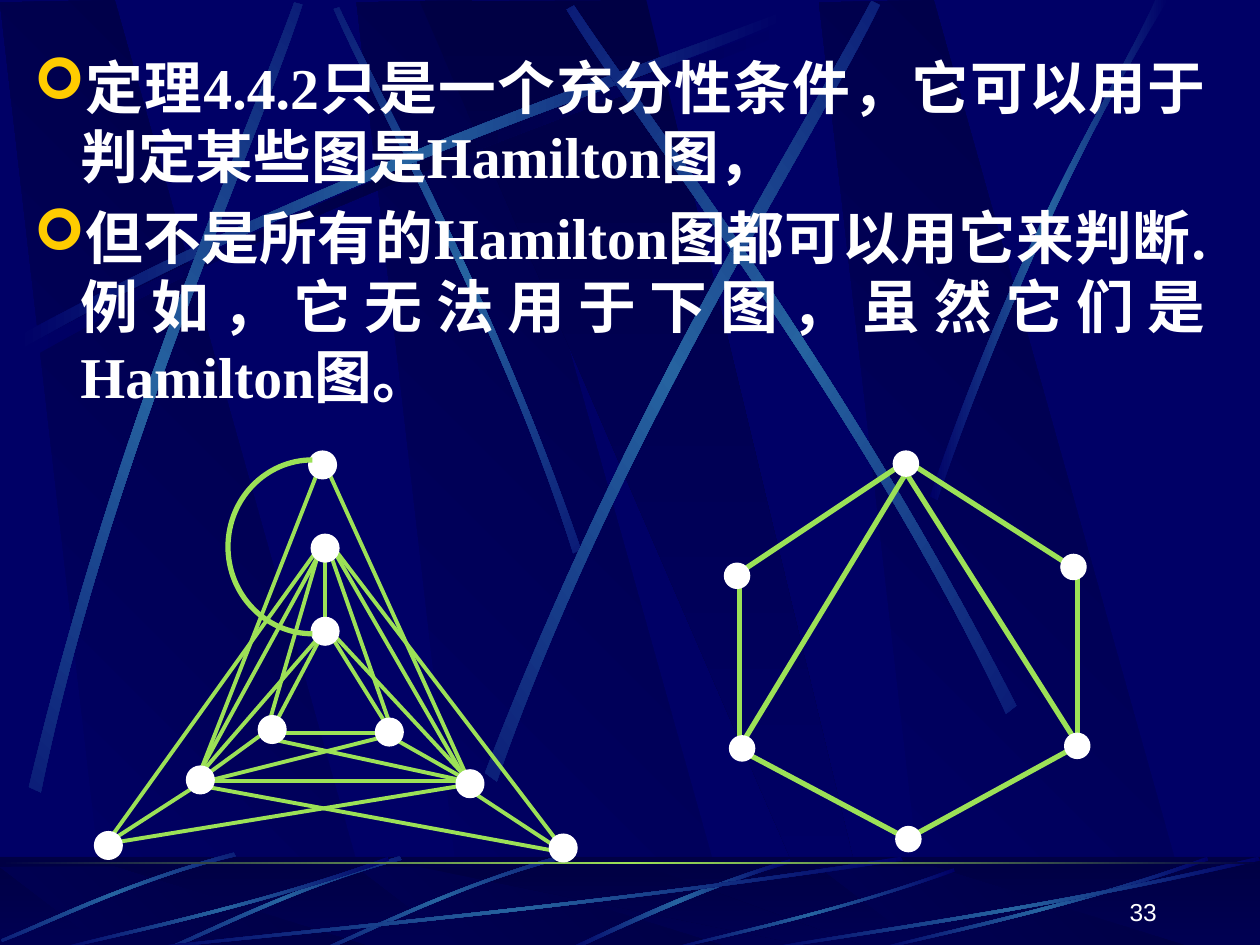
from lxml.etree import SubElement
from pptx import Presentation
from pptx.dml.color import RGBColor
from pptx.enum.shapes import MSO_CONNECTOR, MSO_SHAPE
from pptx.enum.text import MSO_ANCHOR, PP_ALIGN
from pptx.oxml.ns import qn
from pptx.util import Inches, Pt

C = {"navy": "000066", "dark": "000044", "blue": "2663A0",
     "green": "9CE157", "white": "FFFFFF", "gold": "FFCC00"}
RGB = {name: RGBColor.from_string(value) for name, value in C.items()}

prs = Presentation()
prs.slide_width, prs.slide_height = Inches(10), Inches(7.5)
COL, ROW = prs.slide_width / 10, prs.slide_height / 7.5
slide = prs.slides.add_slide(prs.slide_layouts[6])
slide.background.fill.solid()
slide.background.fill.fore_color.rgb = RGB["navy"]
backdrop = slide.shapes.add_group_shape().shapes

OUTLINES = {
    "wedge": ("LLL", [(0.86, 7.5), (3.02, 7.52), (0.91, 0), (0, 0.02)]),
    "fan": ("LLL", [(0, 0.01), (3.25, 7.51), (3.61, 7.51), (1.8, 0)]),
    "beam": ("CLC", [(0, 2.57), (2.64, 1.15), (5.04, 0.41), (6.06, 0),
                     (6.09, 0.06), (5.08, 0.51), (2.34, 1.33), (0.03, 2.67)]),
    "ray": ("CLC", [(0, 3.94), (0.76, 1.73), (1.5, 0.66), (1.79, 0),
                    (1.89, 0), (0.98, 1.45), (0.31, 3.22), (0.06, 3.97)]),
    "blade": ("CLC", [(1.79, 0), (0.89, 0.27), (0.29, 0.6), (0, 0.72),
                      (0.05, 0.73), (0.42, 0.56), (1.23, 0.18), (1.8, 0.03)]),
    "tail": ("CLC", [(2.66, 0.03), (1.51, 0.43), (0.46, 0.64), (0.01, 0.75),
                     (0, 0.74), (0.44, 0.61), (1.64, 0.38), (2.65, 0)]),
    "arc": ("CC", [(0.67, 0), (0.3, 0), (0, 0.31), (0, 0.69),
                   (0, 1.07), (0.3, 1.38), (0.67, 1.38)]),
}


def add_outline(shapes, name, frame, colors=None, angle=0, rot=0, flip=False):
    left, top, width, height = frame
    if name == "rect":
        sp = shapes.add_shape(MSO_SHAPE.RECTANGLE, round(left * COL), round(top * ROW),
                              round(width * COL), round(height * ROW))
    else:
        steps, points = OUTLINES[name]
        xs, ys = zip(*points)
        pts = []
        for x, y in points:
            u, v = x / max(xs), y / max(ys)
            u = 1 - u if flip else u
            pts.append((round((left + u * width) * COL), round((top + v * height) * ROW)))
        fb = shapes.build_freeform(*pts[0])
        fb.add_line_segments(pts[1:], close=bool(colors))
        sp = fb.convert_to_shape()
        outline = next(sp._element.iter(qn("a:path")))
        start, *corners = outline.iter(qn("a:pt"))
        for child in list(outline)[1:]:
            outline.remove(child)
        for step in steps:
            count, tag = (3, "a:cubicBezTo") if step == "C" else (1, "a:lnTo")
            SubElement(outline, qn(tag)).extend(corners[:count])
            corners = corners[count:]
        if colors:
            SubElement(outline, qn("a:close"))
    sp.shadow.inherit = False
    sp.rotation = rot
    sp.line.fill.background()
    sp.fill.background()
    if colors:
        sp.fill.gradient()
        sp.fill.gradient_angle = (360 - angle) % 360
        stops = next(sp._element.iter(qn("a:gsLst")))
        for gs in list(stops):
            stops.remove(gs)
        for i, color in enumerate(colors):
            gs = SubElement(stops, qn("a:gs"), pos=str(100000 * i // (len(colors) - 1)))
            SubElement(gs, qn("a:srgbClr"), val=C[color])
    return sp


def add_text(tf, text, size, font, color="white", bold=False, align=PP_ALIGN.LEFT,
             before=0, bullet=None, indent=0):
    p = tf.paragraphs[0] if not tf.text else tf.add_paragraph()
    p.alignment, p.space_before = align, Pt(before)
    if bullet:
        pPr = p._p.get_or_add_pPr()
        pPr.set("marL", str(round(indent * COL)))
        pPr.set("indent", str(-round(indent * COL)))
        SubElement(SubElement(pPr, qn("a:buClr")), qn("a:srgbClr"), val=C["gold"])
        SubElement(pPr, qn("a:buFont"), typeface="Wingdings", charset="2")
        SubElement(pPr, qn("a:buChar"), char=bullet)
    r = p.add_run()
    r.text = text
    r.font.size, r.font.name, r.font.bold = Pt(size), font, bold
    r.font.color.rgb = RGB[color]


glow = ["navy", "blue", "navy"]
upper = [
    ("beam", (0.2, 0.18, 6.08, 2.67), 0, False, ["navy", "dark", "navy"]),
    ("beam", (1.41, 1.35, 4.42, 1.75), 45, True, glow),
    ("beam", (0.14, 0.1, 6.08, 2.67), 0, False, glow),
    ("beam", (-1.71, 1.82, 6.08, 2.67), 311.7, False, glow),
    ("beam", (2.31, 1.6, 6.24, 3.01), 321.6, False, glow),
    ("beam", (3.23, 1.52, 6.08, 2.67), 34.7, True, glow),
    ("ray", (7.38, 0, 1.89, 3.97), 0, False, glow),
]
lower = [("blade", (4.48, 6.82, 1.8, 0.73), 0, False, glow)]
lower += [("beam", frame, 315, True, glow) for frame in
          [(2.58, 6.76, 1.84, 0.83), (1.33, 6.76, 1.84, 0.83), (0.04, 6.7, 1.8, 0.85)]]
lower += [("tail", (x, 7.55 - h, w, h), 0, False, glow) for x, w, h in
          [(1, 6.17, 0.75), (0.42, 2.67, 0.75), (5.27, 2.31, 0.66),
           (6.92, 2.67, 0.75), (6, 4, 0.75)]]

floor = (0, 6.8, 10, 0.75)
for top, height, streaks in [(0, 7.52, upper), (6.88, 0.66, lower)]:
    if streaks is lower:
        add_outline(backdrop, "rect", floor, ["dark", "navy"], 90)
    for left in (2.83, 0, 6.5):
        add_outline(backdrop, "wedge", (left, top, 3.02, height), ["navy", "dark"], 315)
    add_outline(backdrop, "fan", (3.33, top, 3.61, height), ["dark", "navy"], 90)
    if streaks is lower:
        sp = add_outline(backdrop, "rect", floor)
        sp.fill.solid()
        sp.fill.fore_color.rgb = RGB["dark"]
        SubElement(next(sp._element.spPr.iter(qn("a:srgbClr"))), qn("a:alpha"), val="50000")
    for name, frame, rot, flip, colors in streaks:
        add_outline(backdrop, name, frame, colors, rot=rot, flip=flip)
add_outline(backdrop, "rect", (0, 6.84, 10, 0.02), ["dark", "green", "dark"])

tb = slide.shapes.add_textbox(round(0.17 * COL), round(0.36 * ROW),
                              round(9.5 * COL), round(6.42 * ROW))
tb.text_frame.word_wrap = True
for text in ["定理4.4.2只是一个充分性条件，它可以用于判定某些图是Hamilton图，",
             "但不是所有的Hamilton图都可以用它来判断.例如，它无法用于下图，虽然它们是Hamilton图。"]:
    add_text(tb.text_frame, text, 33, "Times New Roman", bold=True,
             align=PP_ALIGN.JUSTIFY, before=6.6, bullet="➢", indent=0.37)

nested_edges = [
    (2.21, 5.82, 3.01, 5.82), (2.58, 4.42, 2.58, 4.95), (1.64, 6.2, 3.75, 6.2),
    (2.55, 5.05, 2.17, 5.77), (2.63, 5.05, 3.11, 5.82), (2.52, 4.42, 2.12, 5.79),
    (2.52, 3.75, 1.56, 6.2), (2.6, 3.73, 3.7, 6.15), (2.63, 4.42, 3.11, 5.79),
    (2.66, 4.39, 3.72, 6.23), (2.52, 4.42, 1.59, 6.12), (2.68, 4.39, 4.41, 6.66),
    (2.5, 4.39, 0.87, 6.66), (3.71, 6.26, 4.44, 6.74), (1.56, 6.23, 4.44, 6.76),
    (3.14, 5.87, 3.67, 6.17), (2.09, 5.82, 1.61, 6.17), (1.52, 6.26, 0.9, 6.66),
    (2.17, 5.87, 3.7, 6.2), (0.95, 6.68, 3.7, 6.23), (2.66, 5.05, 3.7, 6.17),
    (1.64, 6.2, 3.08, 5.84), (1.61, 6.12, 2.58, 5)]
nested_nodes = [(0.75, 6.6), (1.48, 6.08), (2.05, 5.68), (2.45, 3.58), (2.47, 4.24),
                (2.47, 4.9), (2.98, 5.7), (3.62, 6.11), (4.36, 6.62)]
hexagon_edges = [
    (5.87, 4.54, 5.87, 5.95), (7.15, 3.69, 5.89, 4.53), (8.53, 5.93, 7.25, 6.63),
    (7.2, 3.66, 8.51, 4.5), (5.87, 5.95, 7.15, 6.63), (7.17, 3.72, 8.53, 5.87),
    (7.23, 3.69, 5.89, 5.9), (8.55, 4.47, 8.55, 5.88)]
hexagon_nodes = [(7.11, 6.56), (8.45, 5.82), (8.42, 4.4), (7.09, 3.58),
                 (5.75, 4.47), (5.79, 5.84)]

for edges, nodes, weight, size in [(nested_edges, nested_nodes, 2.25, 0.22),
                                   (hexagon_edges, hexagon_nodes, 3, 0.2)]:
    graph = slide.shapes.add_group_shape().shapes
    for x1, y1, x2, y2 in edges:
        cn = graph.add_connector(MSO_CONNECTOR.STRAIGHT, round(x1 * COL), round(y1 * ROW),
                                 round(x2 * COL), round(y2 * ROW))
        cn.line.color.rgb, cn.line.width = RGB["green"], Pt(weight)
        SubElement(cn._element.spPr, qn("a:effectLst"))
    for x, y in nodes:
        sp = graph.add_shape(MSO_SHAPE.OVAL, round(x * COL), round(y * ROW),
                             round(size * COL), round(size * ROW))
        sp.shadow.inherit = False
        sp.fill.solid()
        sp.fill.fore_color.rgb = RGB["white"]
        sp.line.color.rgb, sp.line.width = RGB["white"], Pt(0.75)
    if nodes is nested_nodes:
        sp = add_outline(graph, "arc", (1.81, 3.65, 0.67, 1.38))
        sp.line.color.rgb, sp.line.width = RGB["green"], Pt(3)

tb = slide.shapes.add_textbox(round(7.2 * COL), round(6.9 * ROW),
                              round(2.08 * COL), round(0.5 * ROW))
tb.text_frame.word_wrap = True
tb.text_frame.vertical_anchor = MSO_ANCHOR.BOTTOM
add_text(tb.text_frame, "33", 14, "Arial", align=PP_ALIGN.RIGHT)

prs.save("out.pptx")
